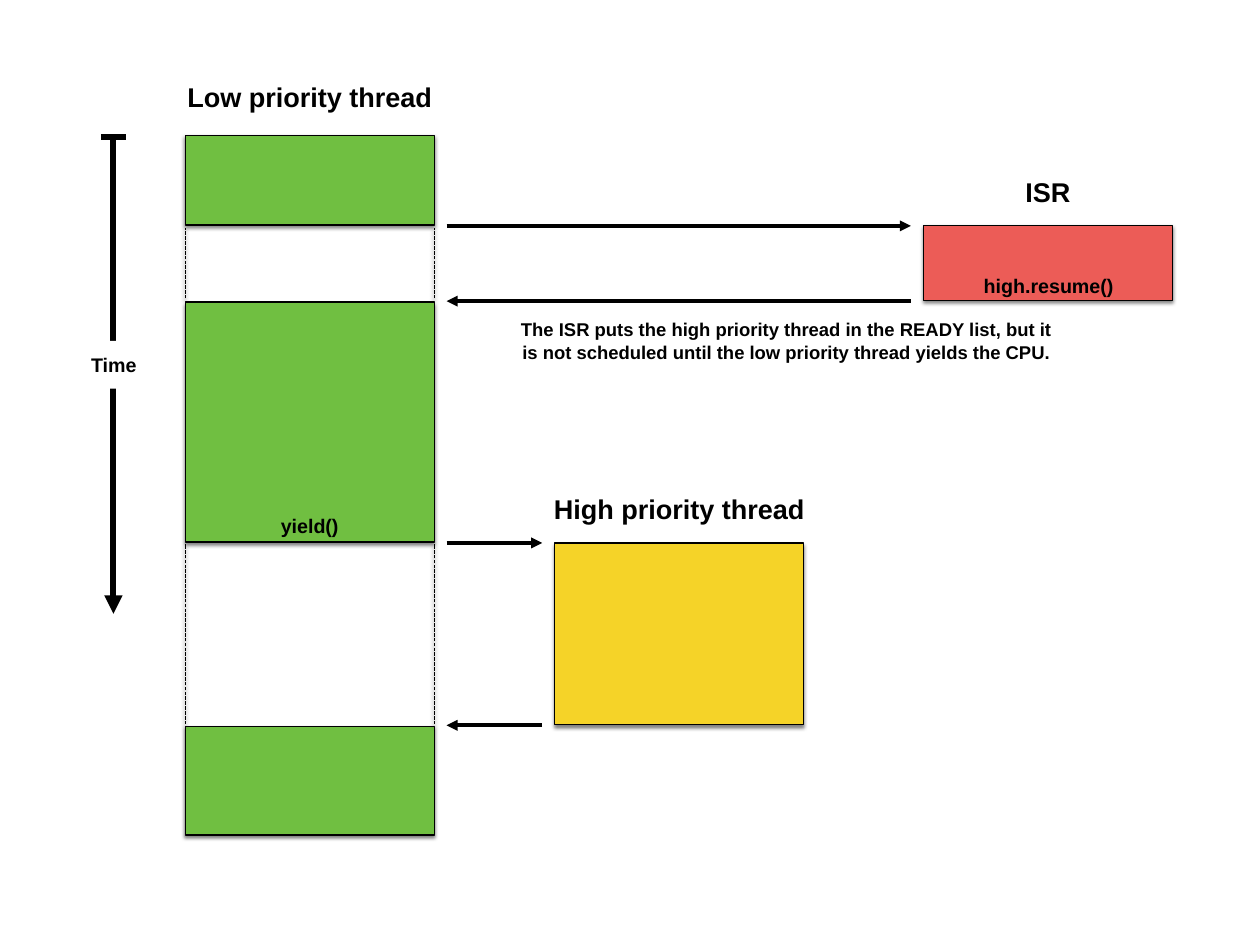
from lxml import etree
from pptx import Presentation
from pptx.dml.color import RGBColor
from pptx.enum.dml import MSO_LINE
from pptx.enum.shapes import MSO_CONNECTOR, MSO_SHAPE
from pptx.enum.text import MSO_ANCHOR, MSO_AUTO_SIZE, PP_ALIGN
from pptx.oxml.ns import qn
from pptx.util import Inches, Pt

RECTANGLE = MSO_SHAPE.RECTANGLE
STRAIGHT = MSO_CONNECTOR.STRAIGHT
SHORT_DASH = MSO_LINE.SQUARE_DOT
MIDDLE = MSO_ANCHOR.MIDDLE
GROW = MSO_AUTO_SIZE.SHAPE_TO_FIT_TEXT
CENTER = PP_ALIGN.CENTER

COLORS = {
    "low": "70BF41",
    "high": "F5D328",
    "isr": "EC5C57",
    "ink": "000000",
    "paper": "FFFFFF",
}
BLOCK_WIDTH = 2.81
LOW_LEFT, HIGH_LEFT, ISR_LEFT = 2.09, 6.26, 10.42
LOW_RIGHT = LOW_LEFT + BLOCK_WIDTH
ARROW_GAP = 0.14
TIME_X = 1.28
TIME_TOP = 1.55


def color(name):
    """Return the named colour."""
    return RGBColor.from_string(COLORS[name])


def add_shadow(effects):
    """Put a soft downward shadow into an effect list."""
    shadow = etree.SubElement(
        effects, qn("a:outerShdw"), blurRad=str(Pt(3)), dist=str(Pt(2)),
        dir="5400000", rotWithShape="0")
    tint = etree.SubElement(shadow, qn("a:srgbClr"), val=COLORS["ink"])
    etree.SubElement(tint, qn("a:alpha"), val="50000")


def add_block(page, left, top, height, fill):
    """Draw an outlined, shadowed block of running time."""
    block = page.shapes.add_shape(
        RECTANGLE, Inches(left), Inches(top), Inches(BLOCK_WIDTH), Inches(height))
    block.fill.solid()
    block.fill.fore_color.rgb = color(fill)
    block.line.color.rgb = color("ink")
    block.line.width = Pt(1)
    block.shadow.inherit = False
    add_shadow(block._element.spPr.find(qn("a:effectLst")))


def add_mask(page, left, top, width, height):
    """Draw a plain patch that interrupts the time axis."""
    mask = page.shapes.add_shape(
        RECTANGLE, Inches(left), Inches(top), Inches(width), Inches(height))
    mask.fill.solid()
    mask.fill.fore_color.rgb = color("paper")
    mask.line.fill.background()
    mask.shadow.inherit = False


def add_label(page, text, left, top, width, height, size):
    """Write a bold centred label."""
    box = page.shapes.add_textbox(
        Inches(left), Inches(top), Inches(width), Inches(height))
    frame = box.text_frame
    frame.word_wrap = True
    frame.auto_size = GROW
    frame.vertical_anchor = MIDDLE
    frame.margin_left = frame.margin_right = Inches(0.06)
    frame.margin_top = frame.margin_bottom = Inches(0.06)
    frame.text = text
    para = frame.paragraphs[0]
    para.alignment = CENTER
    font = para.runs[0].font
    font.name = "Arial"
    font.size = Pt(size)
    font.bold = True
    font.color.rgb = color("ink")


def add_line(page, start, end, width, arrow=False, dashed=False):
    """Draw a straight line, with an arrowhead or as a shadowed dashed line."""
    line = page.shapes.add_connector(
        STRAIGHT, *(Inches(value) for value in (*start, *end)))
    line.line.color.rgb = color("ink")
    line.line.width = Pt(width)
    if dashed:
        line.line.dash_style = SHORT_DASH
    if arrow:
        etree.SubElement(line.line._get_or_add_ln(), qn("a:tailEnd"), type="triangle")
    effects = etree.SubElement(line._element.spPr, qn("a:effectLst"))
    if dashed:
        add_shadow(effects)


def add_time_axis(page):
    """Draw the time arrow with its start bar and label."""
    add_line(page, (TIME_X, TIME_TOP), (TIME_X, 6.93), 5, arrow=True)
    add_mask(page, 0.62, 3.85, 1.33, 0.54)
    add_label(page, "Time", 0.62, 3.93, 1.33, 0.38, 16)
    add_line(page, (TIME_X - 0.14, TIME_TOP), (TIME_X + 0.14, TIME_TOP), 5)


def main():
    """Build the thread scheduling slide."""
    deck = Presentation()
    deck.slide_width = Inches(14.22)
    deck.slide_height = Inches(10.67)
    page = deck.slides.add_slide(deck.slide_layouts[6])

    for left, top, height, fill in (
        (LOW_LEFT, 3.41, 2.71, "low"),
        (HIGH_LEFT, 6.13, 2.05, "high"),
        (ISR_LEFT, 2.55, 0.84, "isr"),
        (LOW_LEFT, 8.2, 1.23, "low"),
        (LOW_LEFT, 1.53, 1.01, "low"),
    ):
        add_block(page, left, top, height, fill)

    for text, left, top in (
        ("Low priority thread", LOW_LEFT, 0.86),
        ("High priority thread", HIGH_LEFT, 5.51),
        ("ISR", ISR_LEFT, 1.93),
    ):
        add_label(page, text, left - ARROW_GAP, top,
                  BLOCK_WIDTH + 2 * ARROW_GAP, 0.47, 22)

    add_time_axis(page)

    for target, leave, resume in ((ISR_LEFT, 2.55, 3.4), (HIGH_LEFT, 6.13, 8.19)):
        near, far = LOW_RIGHT + ARROW_GAP, target - ARROW_GAP
        add_line(page, (near, leave), (far, leave), 3, arrow=True)
        add_line(page, (far, resume), (near, resume), 3, arrow=True)

    add_label(page, "yield()", 1.95, 5.75, 3.09, 0.38, 16)
    add_label(page, "The ISR puts the high priority thread in the READY list, but it "
              "is not scheduled until the low priority thread yields the CPU.",
              5.73, 3.54, 6.29, 0.61, 15)
    add_label(page, "high.resume()", ISR_LEFT, 3.03, 2.83, 0.38, 16)

    for top, bottom in ((2.57, 3.37), (6.14, 8.18)):
        for edge in (LOW_LEFT, LOW_RIGHT):
            add_line(page, (edge, bottom), (edge, top), 1, dashed=True)

    deck.save("out.pptx")


if __name__ == "__main__":
    main()
